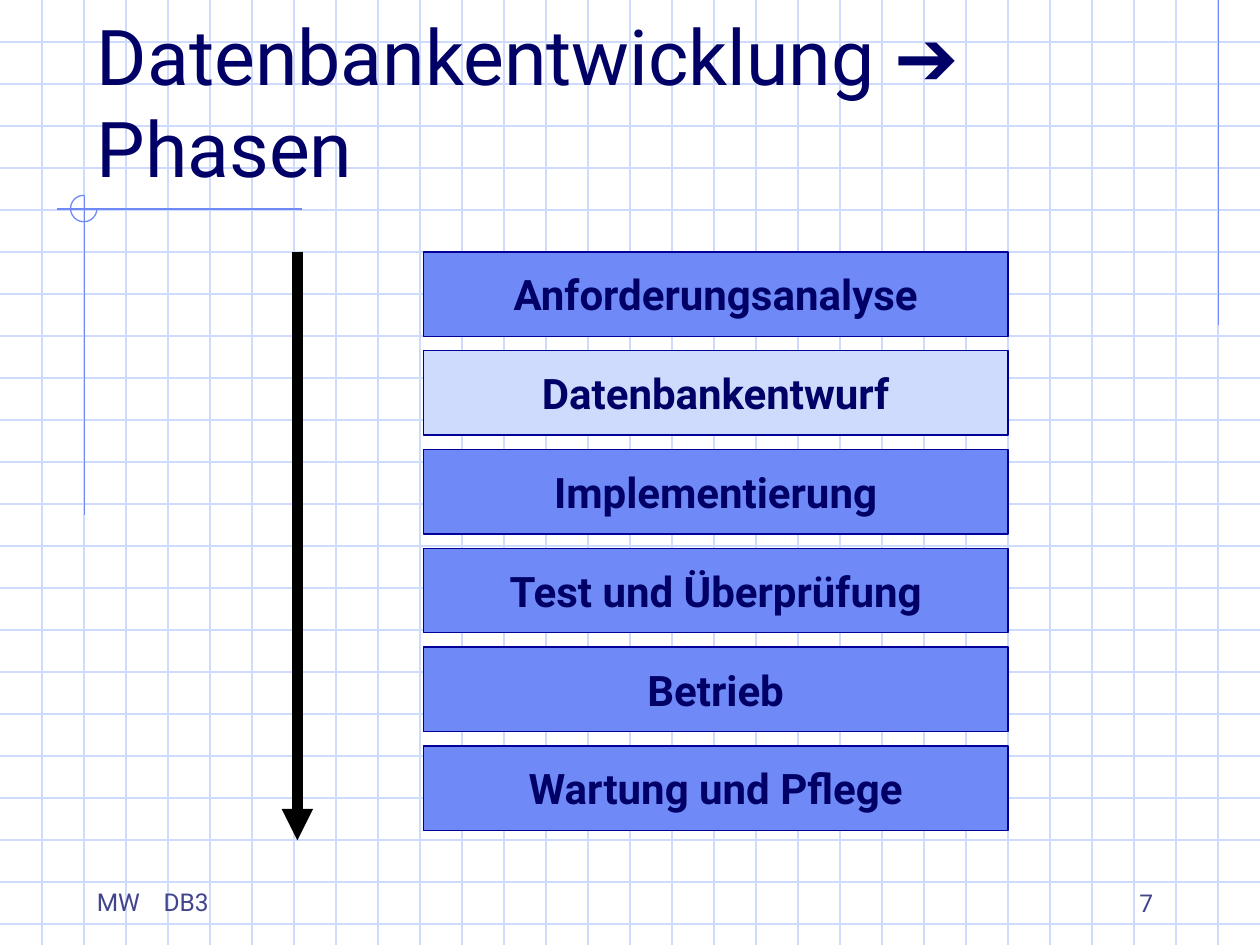
from dataclasses import dataclass

from lxml.etree import SubElement
from pptx import Presentation
from pptx.dml.color import RGBColor
from pptx.enum.shapes import MSO_CONNECTOR, MSO_SHAPE
from pptx.enum.text import MSO_ANCHOR, PP_ALIGN
from pptx.oxml.ns import qn
from pptx.shapes.connector import Connector
from pptx.slide import Slide
from pptx.text.text import TextFrame, _Paragraph
from pptx.util import Inches, Pt

WHITE = RGBColor(0xFF, 0xFF, 0xFF)
BLACK = RGBColor(0x00, 0x00, 0x00)
GRID_BLUE = RGBColor(0xCF, 0xDB, 0xFD)
ACCENT_BLUE = RGBColor(0x6F, 0x89, 0xF7)
BORDER_BLUE = RGBColor(0x00, 0x00, 0x99)
TEXT_NAVY = RGBColor(0x00, 0x00, 0x66)
FOOTER_BLUE = RGBColor(0x40, 0x45, 0x8C)

SLIDE_WIDTH, SLIDE_HEIGHT = 10, 7.5
CELLS_PER_INCH = 3
BOX_LEFT, BOX_WIDTH, BOX_HEIGHT = 3.36, 4.64, 0.67
FIRST_BOX_TOP, LAST_BOX_TOP = 2, 5.92


@dataclass(frozen=True)
class Phase:
    name: str
    fill: RGBColor = ACCENT_BLUE


PHASES = [
    Phase("Anforderungsanalyse"),
    Phase("Datenbankentwurf", GRID_BLUE),
    Phase("Implementierung"),
    Phase("Test und Überprüfung"),
    Phase("Betrieb"),
    Phase("Wartung und Pflege"),
]


def add_line(slide: Slide, start: tuple[float, float], end: tuple[float, float],
             color: RGBColor, width: float = 0.75) -> Connector:
    line = slide.shapes.add_connector(
        MSO_CONNECTOR.STRAIGHT, *(Inches(value) for value in (*start, *end)))
    line.line.color.rgb = color
    line.line.width = Pt(width)
    SubElement(line._element.spPr, qn("a:effectLst"))
    return line


def add_run(paragraph: _Paragraph, text: str, size: float, color: RGBColor,
            font: str = "Roboto", bold: bool = False) -> None:
    run = paragraph.add_run()
    run.text = text
    run.font.name = font
    run.font.size = Pt(size)
    run.font.bold = bold
    run.font.color.rgb = color


def add_text_frame(slide: Slide, left: float, top: float, width: float,
                   height: float, anchor: MSO_ANCHOR) -> TextFrame:
    box = slide.shapes.add_textbox(
        Inches(left), Inches(top), Inches(width), Inches(height))
    box.text_frame.word_wrap = True
    box.text_frame.vertical_anchor = anchor
    return box.text_frame


def add_grid(slide: Slide) -> None:
    for index in range(1, int(SLIDE_HEIGHT * CELLS_PER_INCH) + 1):
        y = index / CELLS_PER_INCH
        add_line(slide, (0, y), (SLIDE_WIDTH, y), GRID_BLUE)
    for index in range(1, SLIDE_WIDTH * CELLS_PER_INCH):
        x = index / CELLS_PER_INCH
        add_line(slide, (x, 0), (x, SLIDE_HEIGHT), GRID_BLUE)


def add_corner_marks(slide: Slide) -> None:
    add_line(slide, (9.67, 0), (9.67, 2.58), ACCENT_BLUE)
    add_line(slide, (2.4, 1.66), (0.45, 1.66), ACCENT_BLUE)
    add_line(slide, (0.67, 1.55), (0.67, 4.09), ACCENT_BLUE)
    arc = slide.shapes.add_shape(
        MSO_SHAPE.ARC, Inches(0.56), Inches(1.55), Inches(0.21), Inches(0.21))
    arc.shadow.inherit = False
    arc.fill.background()
    arc.line.color.rgb = ACCENT_BLUE
    arc.line.width = Pt(0.75)
    # Angles are 60000ths of a degree, scaled by 100000: from 0 to 270 degrees
    arc.adjustments[0] = 0
    arc.adjustments[1] = 270 * 0.6


def add_footer(slide: Slide) -> None:
    frame = add_text_frame(slide, 0.67, 6.99, 2.25, 0.34, MSO_ANCHOR.TOP)
    paragraph = frame.paragraphs[0]
    paragraph.space_before = Pt(8.8)
    tab_list = SubElement(paragraph._p.get_or_add_pPr(), qn("a:tabLst"))
    SubElement(tab_list, qn("a:tab"), pos=str(Inches(0.53)), algn="l")
    add_run(paragraph, "MW\tDB3", 14, FOOTER_BLUE)

    frame = add_text_frame(slide, 7.17, 6.83, 2.08, 0.5, MSO_ANCHOR.BOTTOM)
    paragraph = frame.paragraphs[0]
    paragraph.alignment = PP_ALIGN.RIGHT
    add_run(paragraph, "7", 14, FOOTER_BLUE)


def add_title(slide: Slide) -> None:
    frame = add_text_frame(slide, 0.67, 0.33, 8.5, 1.25, MSO_ANCHOR.BOTTOM)
    paragraph = frame.paragraphs[0]
    add_run(paragraph, "Datenbankentwicklung ", 44, TEXT_NAVY)
    add_run(paragraph, "➔", 44, TEXT_NAVY, font="Arial")
    paragraph.add_line_break()
    add_run(paragraph, "Phasen", 44, TEXT_NAVY)


def add_phase_box(slide: Slide, phase: Phase, top: float) -> None:
    box = slide.shapes.add_shape(
        MSO_SHAPE.RECTANGLE, Inches(BOX_LEFT), Inches(top),
        Inches(BOX_WIDTH), Inches(BOX_HEIGHT))
    box.shadow.inherit = False
    box.fill.solid()
    box.fill.fore_color.rgb = phase.fill
    box.line.color.rgb = BORDER_BLUE
    box.line.width = Pt(0.75)
    frame = box.text_frame
    frame.word_wrap = False
    frame.vertical_anchor = MSO_ANCHOR.MIDDLE
    paragraph = frame.paragraphs[0]
    paragraph.alignment = PP_ALIGN.CENTER
    add_run(paragraph, phase.name, 24, TEXT_NAVY, bold=True)


def add_time_arrow(slide: Slide) -> None:
    arrow = add_line(slide, (2.36, 2), (2.36, 6.67), BLACK, width=6)
    SubElement(arrow.line._get_or_add_ln(), qn("a:tailEnd"), type="triangle")


def main() -> None:
    presentation = Presentation()
    presentation.slide_width = Inches(SLIDE_WIDTH)
    presentation.slide_height = Inches(SLIDE_HEIGHT)
    slide = presentation.slides.add_slide(presentation.slide_layouts[6])
    slide.background.fill.solid()
    slide.background.fill.fore_color.rgb = WHITE

    add_grid(slide)
    add_corner_marks(slide)
    add_title(slide)
    pitch = (LAST_BOX_TOP - FIRST_BOX_TOP) / (len(PHASES) - 1)
    for index, phase in enumerate(PHASES):
        add_phase_box(slide, phase, FIRST_BOX_TOP + index * pitch)
    add_time_arrow(slide)
    add_footer(slide)
    presentation.save("out.pptx")


if __name__ == "__main__":
    main()
